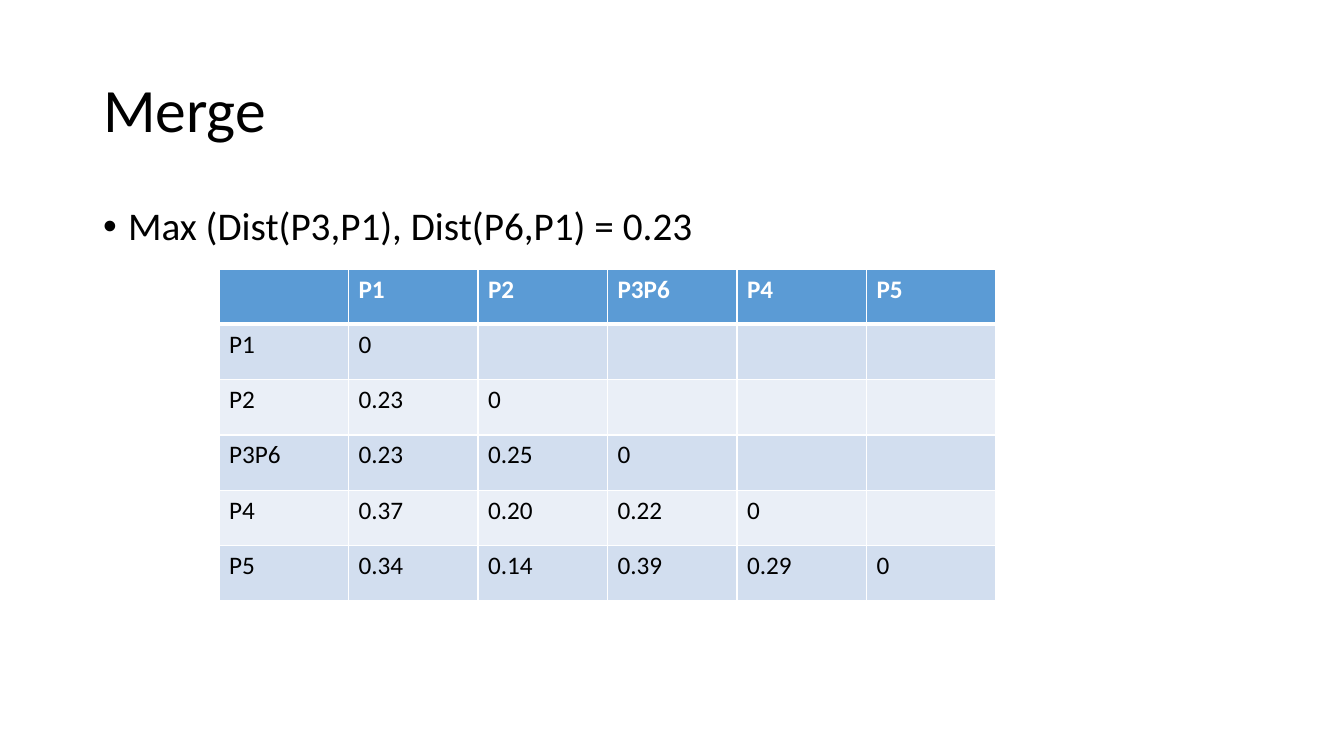
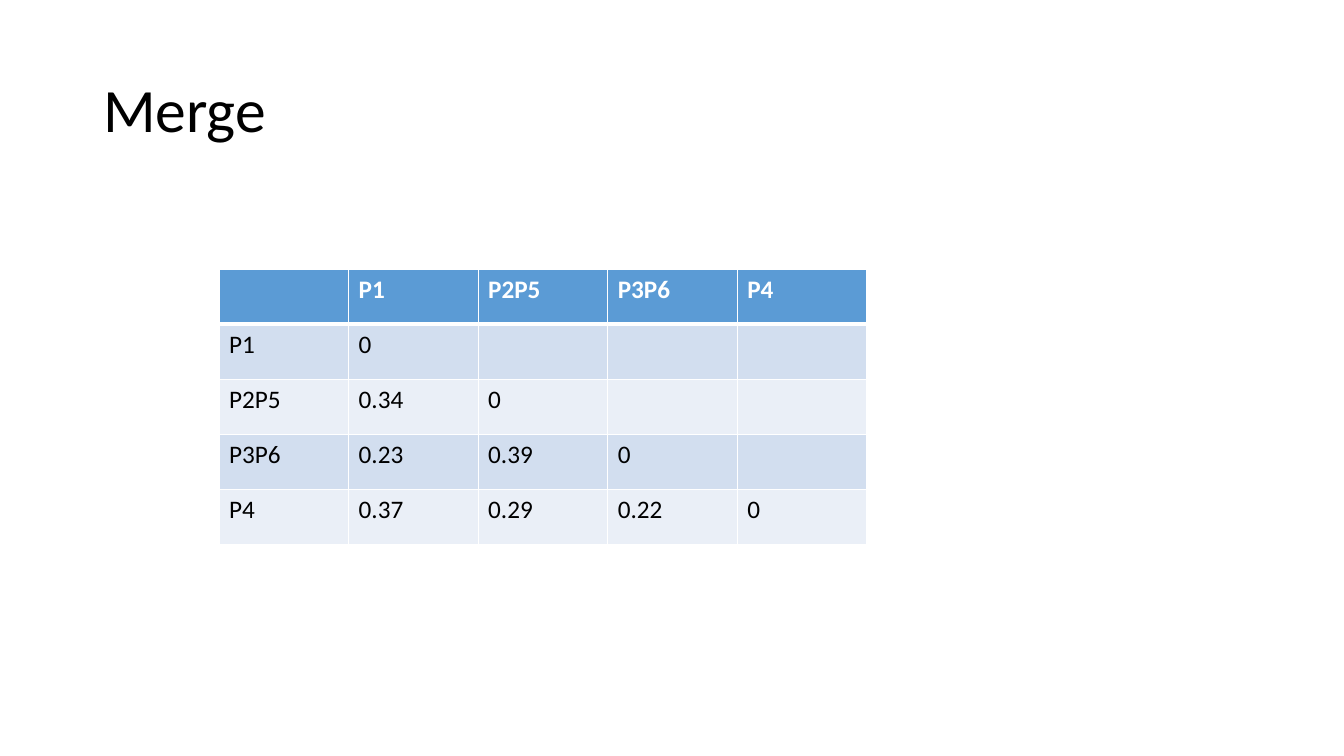
from lxml.etree import SubElement
from pptx import Presentation
from pptx.dml.color import RGBColor
from pptx.enum.text import MSO_ANCHOR, MSO_AUTO_SIZE, PP_ALIGN
from pptx.oxml.ns import qn
from pptx.util import Pt

SCALE = 914400 / 100.8
FONT = "Calibri"
HUES = {
    "text": "000000",
    "paper": "FFFFFF",
    "head": "5B9BD5",
    "dark": "D2DEEF",
    "light": "EAEFF7",
}
SLIDES = [
    {
        "title": "Merge",
        "point": "Max (Dist(P3,P1), Dist(P6,P1) = 0.23",
        "size": (777, 332),
        "names": ["P1", "P2", "P3P6", "P4", "P5"],
        "rows": [
            ["0"],
            ["0.23", "0"],
            ["0.23", "0.25", "0"],
            ["0.37", "0.20", "0.22", "0"],
            ["0.34", "0.14", "0.39", "0.29", "0"],
        ],
    },
    {
        "title": "Merge",
        "point": None,
        "size": (648, 276),
        "names": ["P1", "P2P5", "P3P6", "P4"],
        "rows": [
            ["0"],
            ["0.34", "0"],
            ["0.23", "0.39", "0"],
            ["0.37", "0.29", "0.22", "0"],
        ],
    },
]


def px(count):
    return round(count * SCALE)


def write(frame, text, size=18, hue="text", bold=False, space=1.0,
          dot=False, box=None, anchor=MSO_ANCHOR.TOP):
    if box:
        shape, frame = frame, frame.text_frame
        shape.left, shape.top, shape.width, shape.height = map(px, box)
        frame.auto_size = MSO_AUTO_SIZE.NONE
        frame.word_wrap = True
        frame.vertical_anchor = anchor
    frame.text = text
    para = frame.paragraphs[0]
    para.alignment = PP_ALIGN.LEFT
    para.line_spacing = space
    para.space_before = Pt(0)
    if dot:
        props = para._p.get_or_add_pPr()
        props.set("marL", str(px(25)))
        props.set("indent", str(px(-25)))
        SubElement(props, qn("a:buFont"), typeface="Arial")
        SubElement(props, qn("a:buChar"), char="•")
    for run in para.runs:
        run.font.name = FONT
        run.font.size = Pt(size)
        run.font.bold = bold
        run.font.color.rgb = RGBColor.from_string(HUES[hue])


deck = Presentation()
deck.slide_width, deck.slide_height = px(1344), px(756)

for page in SLIDES:
    slide = deck.slides.add_slide(deck.slide_layouts[1 if page["point"] else 5])
    write(slide.shapes.title, page["title"], size=44, space=0.9,
          box=(93, 40, 1159, 146), anchor=MSO_ANCHOR.MIDDLE)
    if page["point"]:
        write(slide.placeholders[1], page["point"], size=28, space=0.9,
              dot=True, box=(93, 202, 1159, 480))

    names = page["names"]
    count = len(names) + 1
    wide, high = page["size"]
    table = slide.shapes.add_table(
        count, count, px(219), px(269), px(wide), px(high)).table
    grid = [["", *names]]
    grid += [[name, *row] for name, row in zip(names, page["rows"])]

    for r, row in enumerate(grid):
        fill = "head" if r == 0 else ("light", "dark")[r % 2]
        for c in range(count):
            cell = table.cell(r, c)
            props = cell._tc.get_or_add_tcPr()
            for side in "LRTB":
                thick = 3 if (r, side) in ((0, "B"), (1, "T")) else 1
                line = SubElement(props, qn("a:ln" + side), w=str(Pt(thick)))
                paint = SubElement(line, qn("a:solidFill"))
                SubElement(paint, qn("a:srgbClr"), val=HUES["paper"])
            cell.fill.solid()
            cell.fill.fore_color.rgb = RGBColor.from_string(HUES[fill])
            if c < len(row) and row[c]:
                write(cell.text_frame, row[c], bold=r == 0,
                      hue="text" if r else "paper")

deck.save("out.pptx")
